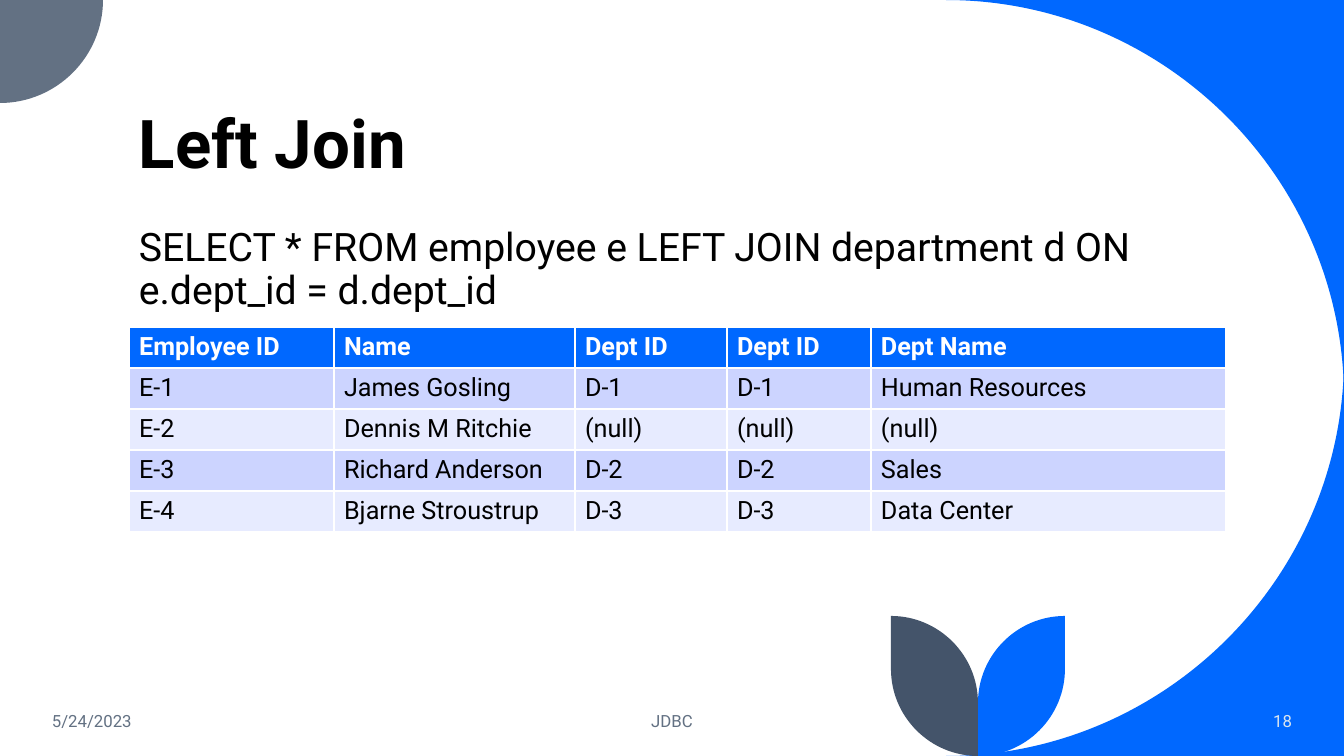
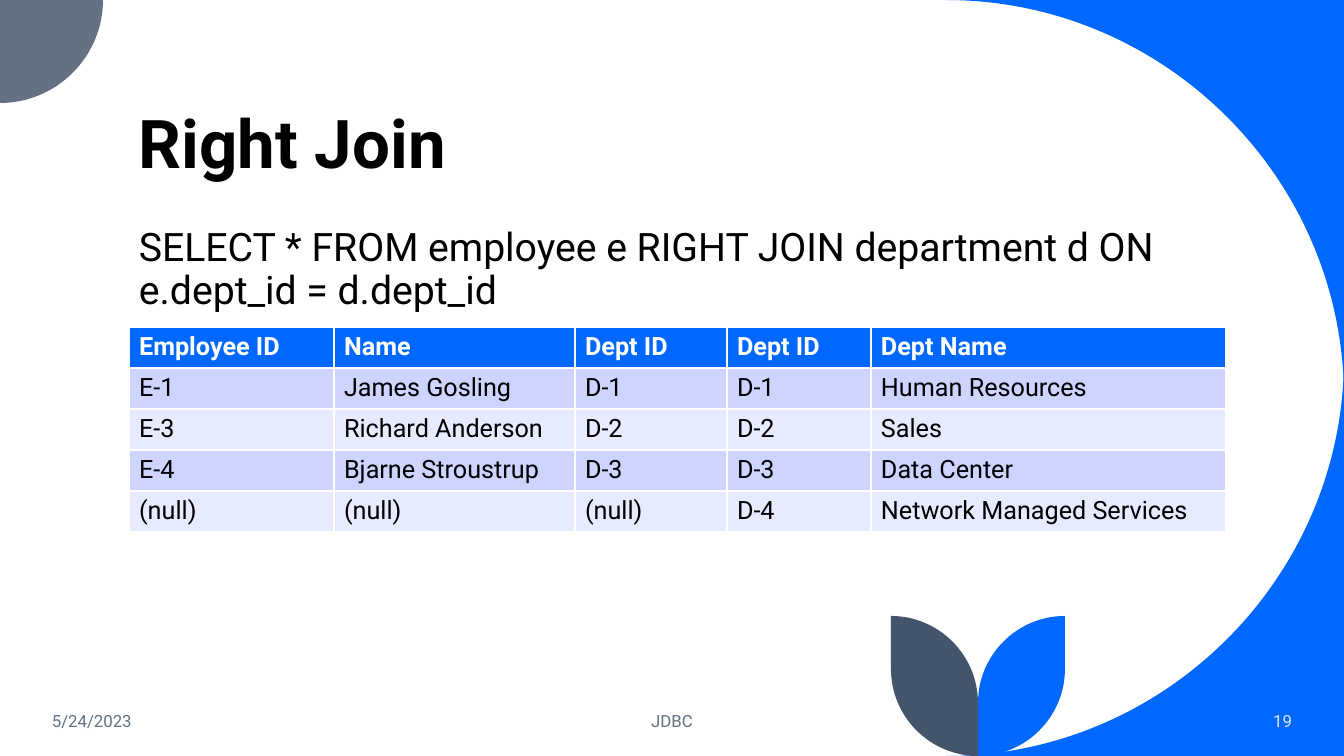
"""Build two slides that show SQL left and right joins."""

from dataclasses import dataclass

from lxml import etree
from pptx import Presentation
from pptx.dml.color import RGBColor
from pptx.enum.text import MSO_ANCHOR, PP_ALIGN
from pptx.oxml.ns import qn
from pptx.slide import Slide
from pptx.text.text import _Paragraph
from pptx.util import Emu, Pt

TOP, MIDDLE, BOTTOM = MSO_ANCHOR.TOP, MSO_ANCHOR.MIDDLE, MSO_ANCHOR.BOTTOM
LEFT, CENTER, RIGHT = PP_ALIGN.LEFT, PP_ALIGN.CENTER, PP_ALIGN.RIGHT

EMU_PER_PX = 914400 / 100.8
SLIDE_W, SLIDE_H = 1344, 756
ARC_PULL = 0.55

Point = tuple[float, float]
Segment = tuple[Point, ...]


@dataclass(frozen=True)
class Theme:
    """Colours, font and type sizes shared by all slides."""

    font: str = "Roboto"
    blue: str = "0068FF"
    slate: str = "637183"
    navy: str = "44546A"
    ink: str = "000000"
    white: str = "FFFFFF"
    page_number: str = "DAE5EF"
    bands: tuple[str, str] = ("CCD4FF", "E7EBFF")
    title_pt: int = 48
    query_pt: int = 28
    table_pt: int = 18
    footer_pt: int = 12
    line_spacing: float = 0.9


THEME = Theme()


@dataclass(frozen=True)
class TextStyle:
    """Look of a piece of text."""

    size: int
    color: str
    bold: bool = False
    align: PP_ALIGN = LEFT
    anchor: MSO_ANCHOR = TOP
    line_spacing: float = 1.0


@dataclass(frozen=True)
class Box:
    """Place of a text box in px."""

    left: int
    top: int
    width: int
    height: int


@dataclass(frozen=True)
class Outline:
    """Closed outline of lines (one point) and curves (three points)."""

    start: Point
    segments: list[Segment]
    color: str


@dataclass(frozen=True)
class JoinSlide:
    """Wording of one join slide."""

    title: str
    query: str
    rows: list[tuple[str, ...]]
    number: int


TITLE_STYLE = TextStyle(THEME.title_pt, THEME.ink, True, LEFT, BOTTOM, THEME.line_spacing)
QUERY_STYLE = TextStyle(THEME.query_pt, THEME.ink, line_spacing=THEME.line_spacing)
HEADER_STYLE = TextStyle(THEME.table_pt, THEME.white, bold=True)
CELL_STYLE = TextStyle(THEME.table_pt, THEME.ink)
DATE_STYLE = TextStyle(THEME.footer_pt, THEME.slate, anchor=MIDDLE)
TOPIC_STYLE = TextStyle(THEME.footer_pt, THEME.slate, align=CENTER, anchor=MIDDLE)
NUMBER_STYLE = TextStyle(THEME.footer_pt, THEME.page_number, align=RIGHT, anchor=MIDDLE)

TITLE_BOX = Box(129, 42, 1078, 146)
QUERY_BOX = Box(129, 223, 1078, 371)
DATE_BOX = Box(42, 701, 302, 40)
TOPIC_BOX = Box(445, 701, 454, 40)
NUMBER_BOX = Box(1119, 701, 183, 40)

TABLE_LEFT, TABLE_TOP, ROW_H = 129, 327, 41
COLUMN_WIDTHS = (205, 241, 152, 144, 355)
HEADER = ("Employee ID", "Name", "Dept ID", "Dept ID", "Dept Name")

GOSLING = ("E-1", "James Gosling", "D-1", "D-1", "Human Resources")
RITCHIE = ("E-2", "Dennis M Ritchie", "(null)", "(null)", "(null)")
ANDERSON = ("E-3", "Richard Anderson", "D-2", "D-2", "Sales")
STROUSTRUP = ("E-4", "Bjarne Stroustrup", "D-3", "D-3", "Data Center")
NETWORK = ("(null)", "(null)", "(null)", "D-4", "Network Managed Services")

JOIN_SLIDES = [
    JoinSlide(
        "Left Join",
        "SELECT * FROM employee e LEFT JOIN department d ON e.dept_id = d.dept_id",
        [GOSLING, RITCHIE, ANDERSON, STROUSTRUP],
        18,
    ),
    JoinSlide(
        "Right Join",
        "SELECT * FROM employee e RIGHT JOIN department d ON e.dept_id = d.dept_id",
        [GOSLING, ANDERSON, STROUSTRUP, NETWORK],
        19,
    ),
]


def px(length: float) -> Emu:
    """Turn px into EMU."""
    return Emu(round(length * EMU_PER_PX))


def toward(origin: Point, target: Point) -> Point:
    """Return the control point of a quarter arc on the way to its corner."""
    (x0, y0), (x1, y1) = origin, target
    return x0 + ARC_PULL * (x1 - x0), y0 + ARC_PULL * (y1 - y0)


def quarter_arc(start: Point, corner: Point, end: Point) -> Segment:
    """Return a curve that rounds off the corner between two points."""
    return toward(start, corner), toward(end, corner), end


def leaf(stem_x: int, radius: int, top: int, color: str) -> Outline:
    """Return a leaf beside its stem, on the left for a negative radius."""
    tip_x, shoulder = stem_x + radius, abs(radius)
    tip = (tip_x, top)
    low_side = (tip_x, SLIDE_H - shoulder)
    foot = (stem_x, SLIDE_H)
    high_side = (stem_x, top + shoulder)
    return Outline(
        tip,
        [
            (low_side,),
            quarter_arc(low_side, (tip_x, SLIDE_H), foot),
            (high_side,),
            quarter_arc(high_side, (stem_x, top), tip),
        ],
        color,
    )


def rounded_corner(corner: Point, start: Point, bend: Point, end: Point, color: str) -> Outline:
    """Return a slide corner closed by a quarter arc."""
    return Outline(corner, [(start,), quarter_arc(start, bend, end)], color)


def decoration() -> list[Outline]:
    """Return the corner arcs and the two leaves."""
    sweep, disc, stem_x, leaf_w, leaf_top = 398, 103, 978, 87, 616
    sweep_x = SLIDE_W - sweep
    top_right, bottom_right = (SLIDE_W, 0), (SLIDE_W, SLIDE_H)
    return [
        rounded_corner(top_right, (sweep_x, 0), top_right, (SLIDE_W, sweep), THEME.blue),
        rounded_corner(
            bottom_right, (SLIDE_W, SLIDE_H - sweep), bottom_right, (sweep_x, SLIDE_H), THEME.blue
        ),
        rounded_corner((0, 0), (disc, 0), (disc, disc), (0, disc), THEME.slate),
        leaf(stem_x, leaf_w, leaf_top, THEME.blue),
        leaf(stem_x, -leaf_w, leaf_top, THEME.navy),
    ]


def draw_outline(slide: Slide, outline: Outline) -> None:
    """Draw a filled outline with true curves and no line."""
    builder = slide.shapes.build_freeform(px(outline.start[0]), px(outline.start[1]))
    points = [(px(x), px(y)) for segment in outline.segments for x, y in segment]
    builder.add_line_segments(points, close=True)
    shape = builder.convert_to_shape()
    steps = iter(list(shape._element.iter(qn("a:lnTo"))))
    for segment in outline.segments:
        parts = [next(steps) for _ in segment]
        if len(parts) == 1:
            continue
        curve = etree.Element(qn("a:cubicBezTo"))
        parts[0].addprevious(curve)
        for part in parts:
            curve.append(part[0])
            part.getparent().remove(part)
    shape.shadow.inherit = False
    shape.fill.solid()
    shape.fill.fore_color.rgb = RGBColor.from_string(outline.color)
    shape.line.fill.background()


def format_paragraph(paragraph: _Paragraph, style: TextStyle) -> None:
    """Apply a text style to a paragraph and its runs."""
    paragraph.alignment = style.align
    paragraph.line_spacing = style.line_spacing
    for run in paragraph.runs:
        run.font.name = THEME.font
        run.font.size = Pt(style.size)
        run.font.bold = style.bold
        run.font.color.rgb = RGBColor.from_string(style.color)


def draw_text(slide: Slide, text: str, box: Box, style: TextStyle) -> None:
    """Draw a wrapped text box."""
    frame = slide.shapes.add_textbox(
        px(box.left), px(box.top), px(box.width), px(box.height)
    ).text_frame
    frame.word_wrap = True
    frame.vertical_anchor = style.anchor
    frame.text = text
    format_paragraph(frame.paragraphs[0], style)


def draw_table(slide: Slide, rows: list[tuple[str, ...]]) -> None:
    """Draw the join result with its header."""
    lines = [HEADER, *rows]
    table = slide.shapes.add_table(
        len(lines), len(HEADER), px(TABLE_LEFT), px(TABLE_TOP),
        px(sum(COLUMN_WIDTHS)), px(ROW_H * len(lines)),
    ).table
    for column, width in zip(table.columns, COLUMN_WIDTHS):
        column.width = px(width)
    for index, values in enumerate(lines):
        table.rows[index].height = px(ROW_H)
        is_header = index == 0
        color = THEME.blue if is_header else THEME.bands[(index - 1) % 2]
        for cell, value in zip(table.rows[index].cells, values):
            cell.fill.solid()
            cell.fill.fore_color.rgb = RGBColor.from_string(color)
            cell.text_frame.text = value
            format_paragraph(
                cell.text_frame.paragraphs[0], HEADER_STYLE if is_header else CELL_STYLE
            )


def draw_join_slide(slide: Slide, content: JoinSlide) -> None:
    """Draw one complete join slide."""
    for outline in decoration():
        draw_outline(slide, outline)
    draw_text(slide, content.title, TITLE_BOX, TITLE_STYLE)
    draw_text(slide, "5/24/2023", DATE_BOX, DATE_STYLE)
    draw_text(slide, "JDBC", TOPIC_BOX, TOPIC_STYLE)
    draw_text(slide, str(content.number), NUMBER_BOX, NUMBER_STYLE)
    draw_text(slide, content.query, QUERY_BOX, QUERY_STYLE)
    draw_table(slide, content.rows)


def main() -> None:
    """Build and save the presentation."""
    presentation = Presentation()
    presentation.slide_width = px(SLIDE_W)
    presentation.slide_height = px(SLIDE_H)
    blank = presentation.slide_layouts[6]
    for content in JOIN_SLIDES:
        draw_join_slide(presentation.slides.add_slide(blank), content)
    presentation.save("out.pptx")


if __name__ == "__main__":
    main()
